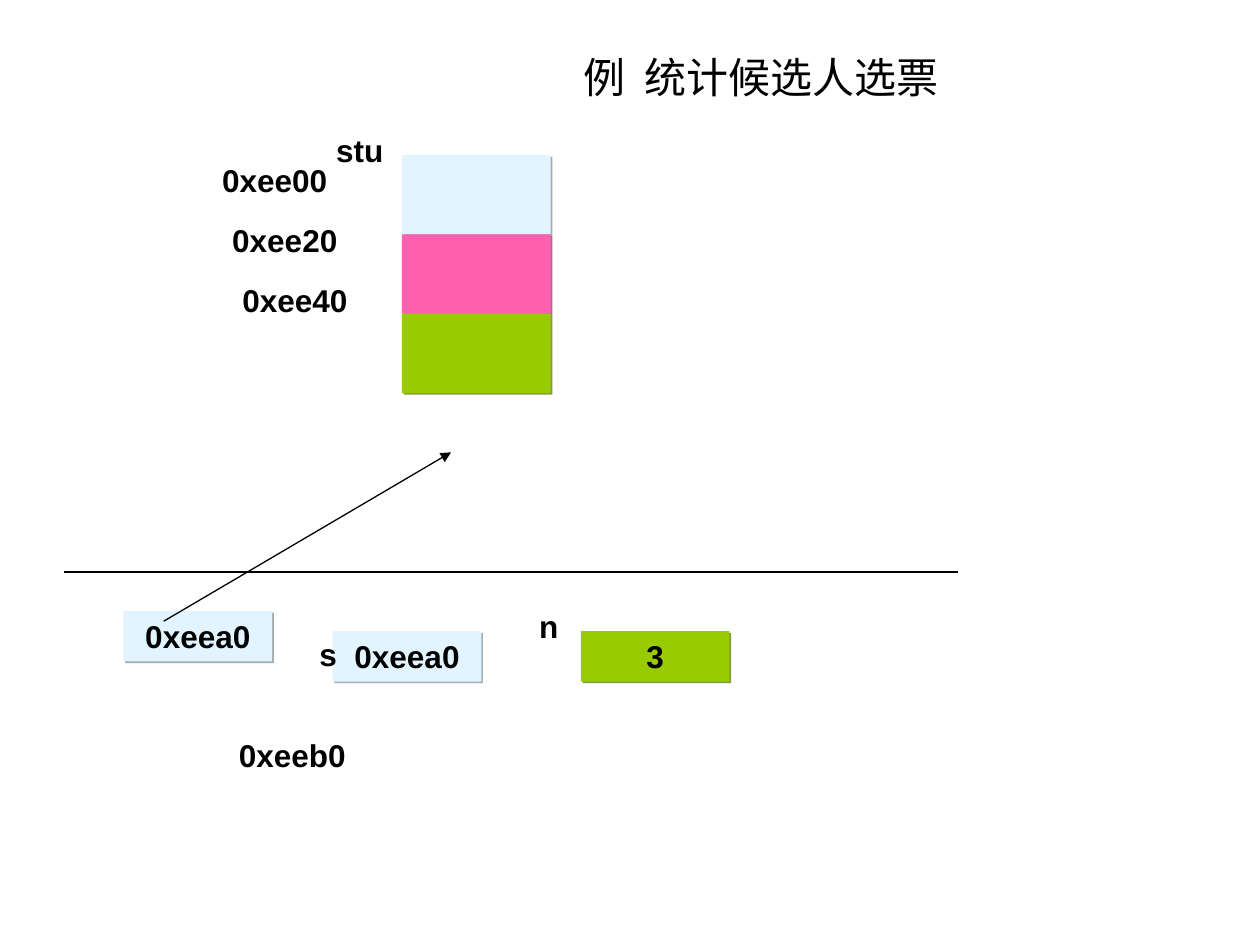
import pptx
import pptx.dml.color
import pptx.enum.shapes
import pptx.enum.text
import pptx.oxml
import pptx.oxml.ns
import pptx.util
from pptx.util import Inches

BLACK, PALE, PINK, GREEN = "000000", "E1F4FF", "FF61B0", "99CC00"
SHADOWS = {PALE: "879299", PINK: "993A6A", GREEN: "5C7A00"}
CELL_WIDTH, LABEL_HEIGHT = 1.18, 0.4
CENTER = pptx.enum.text.PP_ALIGN.CENTER
LEFT = pptx.enum.text.PP_ALIGN.LEFT
TOP = pptx.enum.text.MSO_ANCHOR.TOP
MIDDLE = pptx.enum.text.MSO_ANCHOR.MIDDLE
FIT = pptx.enum.text.MSO_AUTO_SIZE.SHAPE_TO_FIT_TEXT
MARGINS = {
    "margin_left": Inches(0.1), "margin_right": Inches(0.1),
    "margin_top": Inches(0.05), "margin_bottom": Inches(0.05),
}
LABEL_FONT = {"name": "Arial", "size": pptx.util.Pt(18), "bold": True}
TITLE_FONT = {"name": "Times New Roman", "size": pptx.util.Pt(24), "bold": False}


def set_attributes(target, values):
    """Set every named value on the target."""
    for name, value in values.items():
        setattr(target, name, value)


def rgb(value):
    """Turn a hex string into a colour."""
    return pptx.dml.color.RGBColor.from_string(value)


def write(shape, text, font, align=CENTER, anchor=TOP, wrap=True):
    """Write one formatted paragraph into a shape."""
    frame = shape.text_frame
    frame.text = text
    set_attributes(frame, {**MARGINS, "word_wrap": wrap,
                           "auto_size": FIT, "vertical_anchor": anchor})
    paragraph = frame.paragraphs[0]
    paragraph.alignment = align
    set_attributes(paragraph.font, font)
    paragraph.font.color.rgb = rgb(BLACK)


def add_title(slide, left, top, width, height):
    """Place and format the slide title."""
    title = slide.shapes.title
    set_attributes(title, {"left": Inches(left), "top": Inches(top),
                           "width": Inches(width), "height": Inches(height)})
    write(title, "例  统计候选人选票", TITLE_FONT, align=LEFT, wrap=False)


def add_label(slide, text, left, top, width):
    """Add a bold centred label."""
    label = slide.shapes.add_textbox(
        Inches(left), Inches(top), Inches(width), Inches(LABEL_HEIGHT))
    write(label, text, LABEL_FONT)


def add_cell(slide, fill, left, top, height, text=""):
    """Add a memory cell with a hard offset shadow."""
    cell = slide.shapes.add_shape(
        pptx.enum.shapes.MSO_SHAPE.RECTANGLE,
        Inches(left), Inches(top), Inches(CELL_WIDTH), Inches(height))
    cell.fill.solid()
    cell.fill.fore_color.rgb = rgb(fill)
    cell.line.fill.background()
    cell.shadow.inherit = False
    effects = cell._element.spPr.find(pptx.oxml.ns.qn("a:effectLst"))
    effects.append(pptx.oxml.parse_xml(
        f'<a:outerShdw {pptx.oxml.ns.nsdecls("a")} blurRad="0" '
        f'dist="{pptx.util.Pt(1.4)}" dir="2700000" algn="ctr" rotWithShape="0">'
        f'<a:srgbClr val="{SHADOWS[fill]}"><a:alpha val="75000"/></a:srgbClr>'
        '</a:outerShdw>'))
    if text:
        write(cell, text, LABEL_FONT, anchor=MIDDLE)


def add_line(slide, start, end, arrow=False):
    """Add a thin black line, optionally with an arrowhead at its end."""
    line = slide.shapes.add_connector(
        pptx.enum.shapes.MSO_CONNECTOR.STRAIGHT,
        *(Inches(value) for value in (*start, *end)))
    line.line.color.rgb = rgb(BLACK)
    line.line.width = pptx.util.Pt(0.75)
    if arrow:
        line.line._get_or_add_ln().append(pptx.oxml.parse_xml(
            f'<a:tailEnd {pptx.oxml.ns.nsdecls("a")} type="triangle"/>'))
    line._element.spPr.append(pptx.oxml.parse_xml(
        f'<a:effectLst {pptx.oxml.ns.nsdecls("a")}/>'))


def add_array(slide, left, top):
    """Draw the stu array with the address of each element."""
    add_label(slide, "stu", left + 0.87, top, 0.75)
    cell_height = 0.63
    elements = (("0xee00", PALE), ("0xee20", PINK), ("0xee40", GREEN))
    for index, (address, fill) in enumerate(elements):
        add_label(slide, address, left + 0.08 * index,
                  top + 0.24 + 0.475 * index, 1.14)
        add_cell(slide, fill, left + 1.58,
                 top + 0.24 + cell_height * index, cell_height)


def add_variables(slide, left, top):
    """Draw the variables of the called function and their labels."""
    variables = (("0xeea0", PALE, 0, 0), ("0xeea0", PALE, 1.66, 0.16),
                 ("3", GREEN, 3.63, 0.16))
    for value, fill, x, y in variables:
        add_cell(slide, fill, left + x, top + y, LABEL_HEIGHT, value)
    labels = (("s", 1.25, 0.14, 0.75), ("n", 3, -0.08, 0.75),
              ("0xeeb0", 0.77, 0.94, 1.14))
    for text, x, y, width in labels:
        add_label(slide, text, left + x, top + y, width)


def main():
    """Build and save the slide."""
    deck = pptx.Presentation()
    set_attributes(deck, {"slide_width": Inches(10), "slide_height": Inches(7.5)})
    slide = deck.slides.add_slide(deck.slide_layouts.get_by_name("Title Only"))
    add_title(slide, 4.53, 0.36, 3.04, 0.5)
    add_array(slide, 1.61, 0.99)
    add_line(slide, (0.51, 4.54), (7.6, 4.54))
    add_variables(slide, 0.98, 4.85)
    add_line(slide, (1.3, 4.93), (3.58, 3.59), arrow=True)
    deck.save("out.pptx")


if __name__ == "__main__":
    main()
